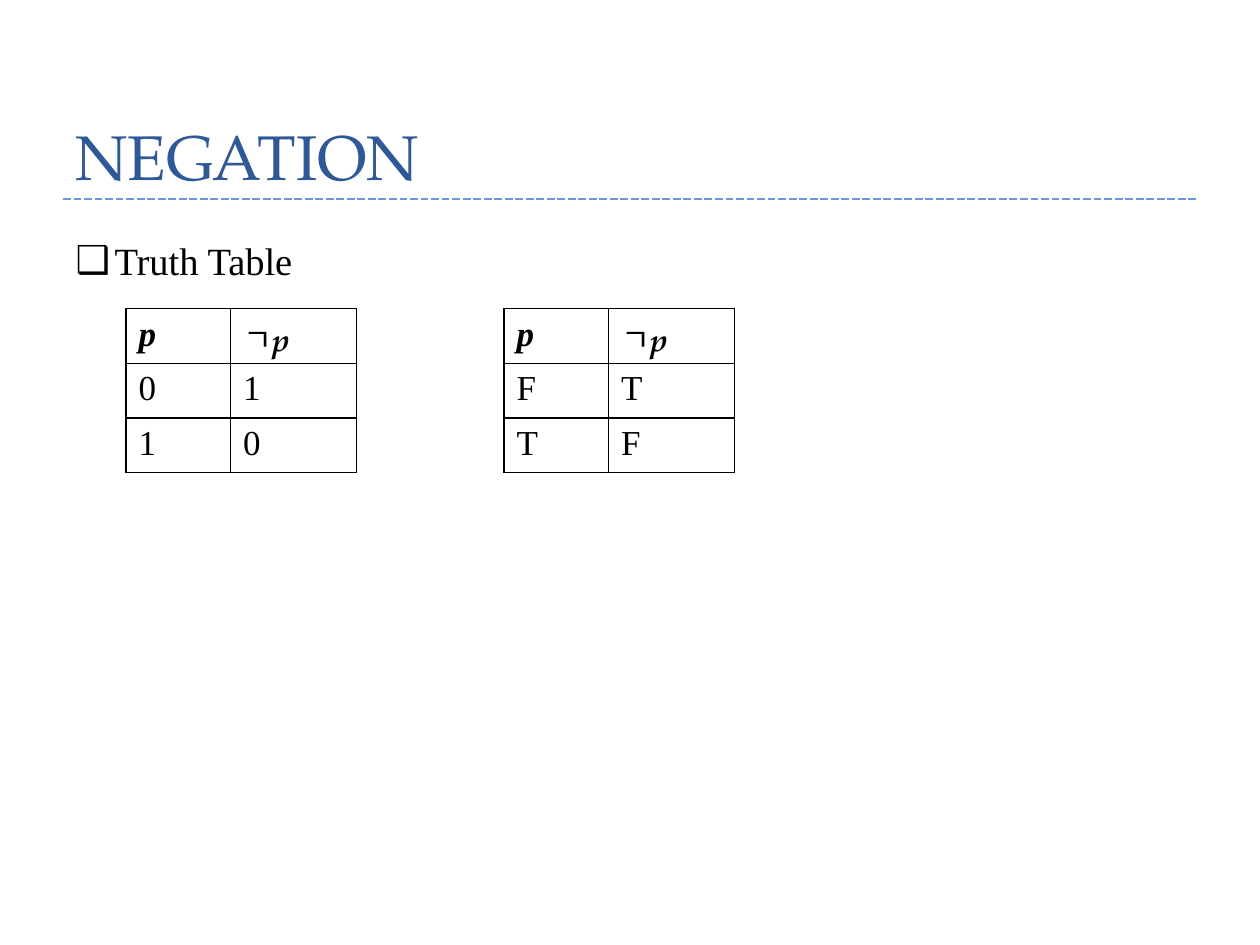
from lxml.etree import SubElement
from pptx import Presentation
from pptx.dml.color import RGBColor
from pptx.enum.dml import MSO_LINE
from pptx.enum.shapes import MSO_CONNECTOR
from pptx.enum.text import MSO_ANCHOR, MSO_AUTO_SIZE, PP_ALIGN
from pptx.oxml.ns import qn
from pptx.util import Inches, Pt

SERIF = "Times New Roman"
DISPLAY = "TeX Gyre Pagella"
BLACK = "000000"
HEADER = ["p", "ㄱp"]


def color(hex_code):
    return RGBColor.from_string(hex_code)


def set_font(font, name, size, hex_code=BLACK, strong=False):
    """Strong text is bold and italic, as the variables are."""
    font.name, font.size = name, Pt(size)
    font.color.rgb = color(hex_code)
    font.bold = font.italic = strong


def place(shape, left, top, width, height):
    shape.left, shape.top = Inches(left), Inches(top)
    shape.width, shape.height = Inches(width), Inches(height)


def add_title(slide, text):
    title = slide.shapes.title
    place(title, 0.5, -0.17, 9, 1.75)
    frame = title.text_frame
    frame.text = text
    frame.auto_size = MSO_AUTO_SIZE.NONE
    frame.vertical_anchor = MSO_ANCHOR.BOTTOM
    heading = frame.paragraphs[0]
    heading.alignment = PP_ALIGN.LEFT
    heading.line_spacing = Pt(58)
    set_font(heading.font, DISPLAY, 36, "2F5897")


def add_rule(slide):
    rule = slide.shapes.add_connector(
        MSO_CONNECTOR.STRAIGHT, Inches(0.5), Inches(1.58), Inches(9.5), Inches(1.58))
    rule.line.color.rgb = color("7097D3")
    rule.line.width = Pt(1.5)
    rule.line.dash_style = MSO_LINE.SQUARE_DOT
    SubElement(rule._element.spPr, qn("a:effectLst"))


def add_bullet(slide, text):
    body = slide.placeholders[1]
    place(body, 0.5, 1.83, 1.95, 0.47)
    frame = body.text_frame
    frame.text = text
    frame.word_wrap = False
    frame.auto_size = MSO_AUTO_SIZE.SHAPE_TO_FIT_TEXT
    item = frame.paragraphs[0]
    item.space_before = Pt(0)
    properties = item._p.get_or_add_pPr()
    properties.set("marL", str(Inches(0.31)))
    properties.set("indent", str(-Inches(0.31)))
    SubElement(properties, qn("a:buChar"), char="❑")
    set_font(item.font, SERIF, 22)


def add_borders(cell):
    properties = cell._tc.get_or_add_tcPr()
    for side in ("lnL", "lnR", "lnT", "lnB"):
        border = SubElement(properties, qn(f"a:{side}"), w=str(Pt(1)))
        fill = SubElement(border, qn("a:solidFill"))
        SubElement(fill, qn("a:srgbClr"), val=BLACK)


def fill_negation(paragraph):
    """Header of the negated column: a plain sign and a strong variable."""
    sign, variable = HEADER[1]
    for text, name, strong in ((sign, SERIF, False), (variable, DISPLAY, True)):
        run = paragraph.add_run()
        run.text = text
        set_font(run.font, name, 18, strong=strong)


def add_truth_table(slide, left, values):
    rows = [HEADER, *values]
    table = slide.shapes.add_table(
        len(rows), 2, Inches(left), Inches(2.45), Inches(1.83), Inches(1.3)).table
    table.first_row = table.horz_banding = False
    for column, width in zip(table.columns, (0.83, 1)):
        column.width = Inches(width)
    for r, row in enumerate(rows):
        for c, text in enumerate(row):
            cell = table.cell(r, c)
            add_borders(cell)
            cell.fill.background()
            paragraph = cell.text_frame.paragraphs[0]
            if text == HEADER[1]:
                fill_negation(paragraph)
            else:
                paragraph.text = text
                set_font(paragraph.font, SERIF, 20, strong=r == 0)


def main():
    deck = Presentation()
    deck.slide_width, deck.slide_height = Inches(10), Inches(7.5)
    slide = deck.slides.add_slide(deck.slide_layouts[1])

    # Heading
    add_rule(slide)
    add_title(slide, "NEGATION")

    # Truth tables, in digits and in letters
    add_bullet(slide, "Truth Table")
    add_truth_table(slide, 4, ["FT", "TF"])
    add_truth_table(slide, 1, ["01", "10"])

    deck.save("out.pptx")


if __name__ == "__main__":
    main()
